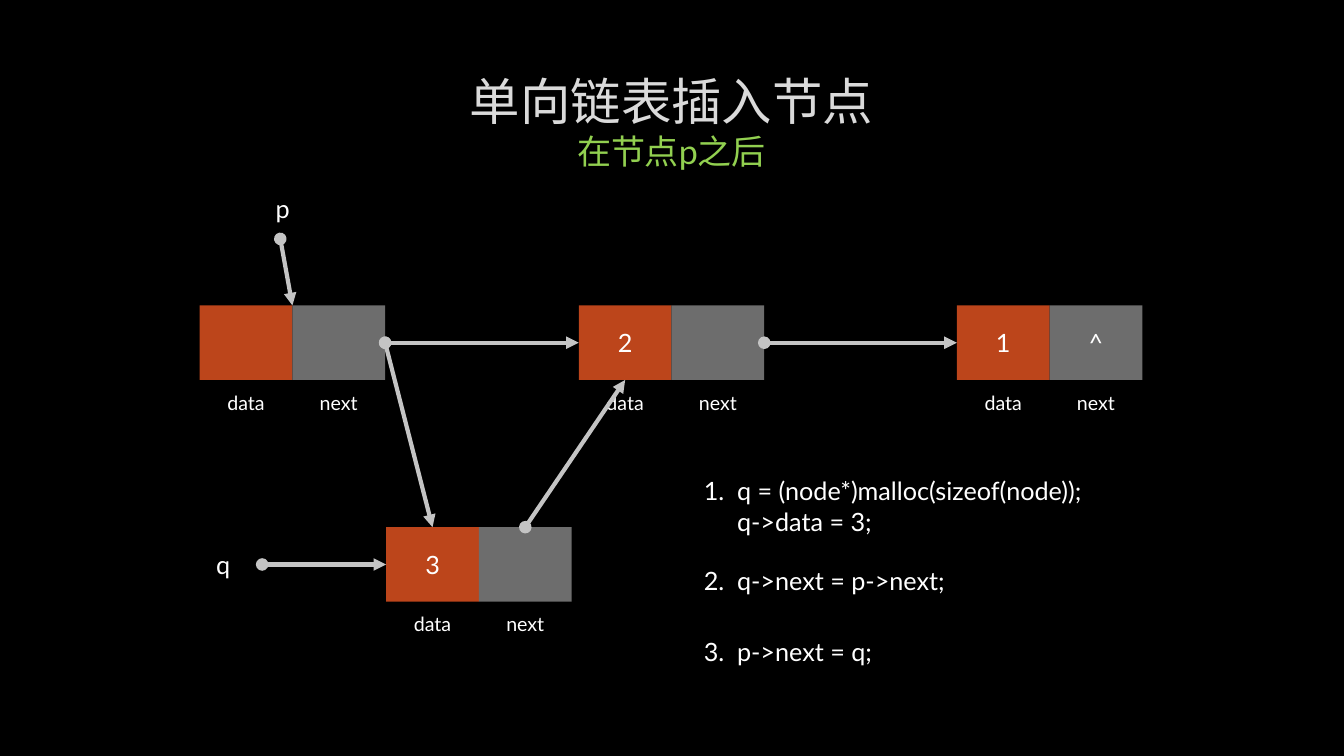
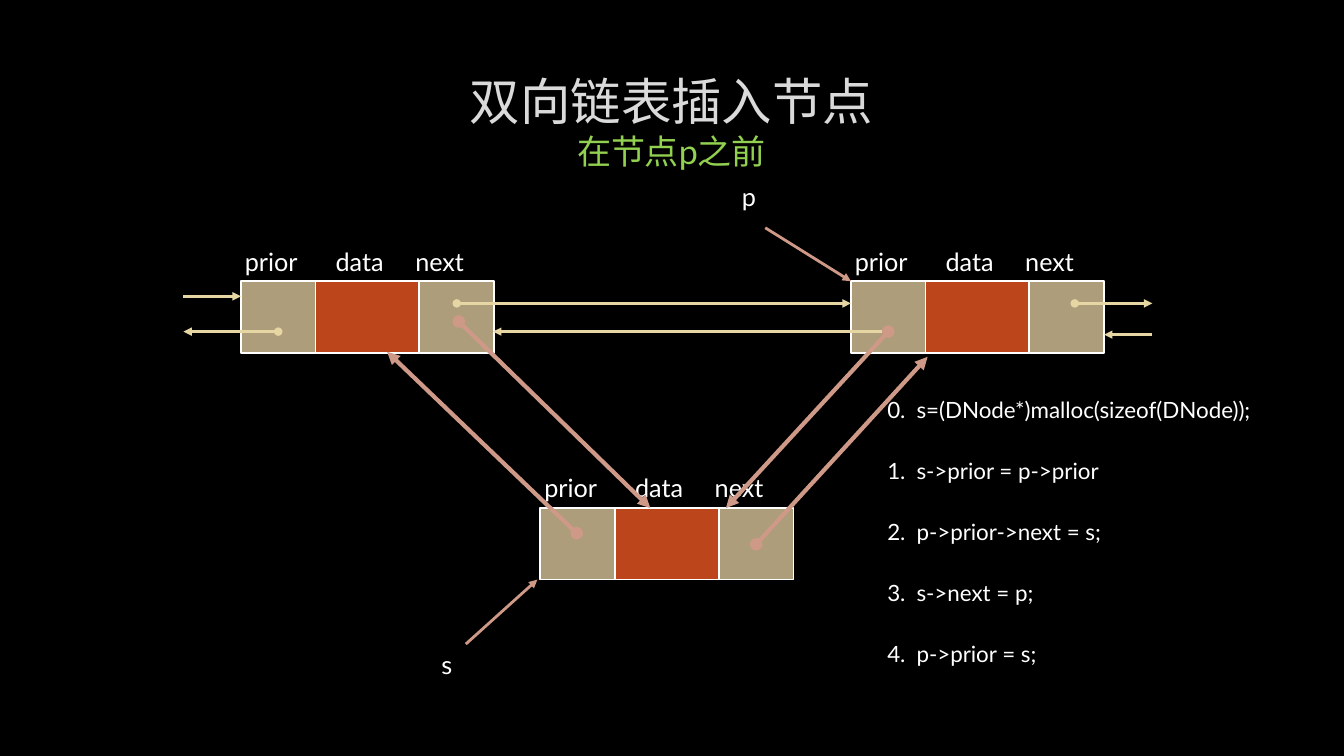
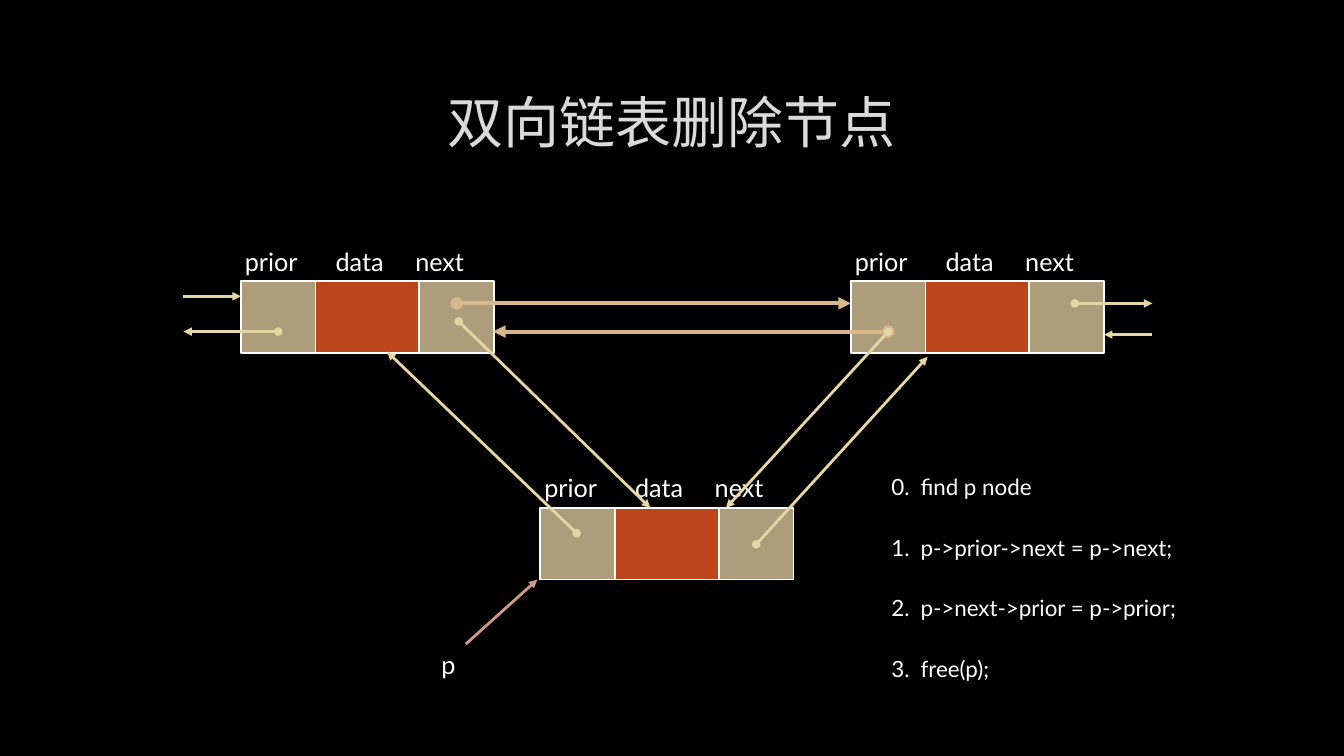
import lxml.etree
import pptx
import pptx.dml.color
import pptx.enum.shapes
import pptx.enum.text
import pptx.oxml.ns
import pptx.util

Inches = pptx.util.Inches
Pt = pptx.util.Pt
qn = pptx.oxml.ns.qn
ALIGN = pptx.enum.text.PP_ALIGN
ANCHOR = pptx.enum.text.MSO_ANCHOR


class Theme:
    font = "Lato"
    background = "000000"
    title = "DADADA"
    subtitle = "92D050"
    text = "FFFFFF"
    data = "BC451B"
    next_cell = "6D6D6D"
    link_cell = "AD9D7B"
    silver = "C4C4C4"
    sand = "E5D6A4"
    tan = "D7B78B"
    rose = "CF9988"
    title_size = 40
    title_size_with_subtitle = 36
    subtitle_size = 24.3
    body_size = 18
    small_step_size = 16
    caption_size = 14
    thin = 2
    thick = 3
    border = 1.25


TOP, LEFT, BOTTOM, RIGHT = range(4)

# Singly linked list: name -> left, top, data text, next text
SINGLE_CELL = (0.92, 0.74)
SINGLE_NODES = {
    "first": (1.98, 3.03, "", ""),
    "second": (5.74, 3.03, "2", ""),
    "last": (9.49, 3.03, "1", "^"),
    "new": (3.83, 5.23, "3", ""),
}
# (node, field, side) at each end
SINGLE_LINKS = [
    (("first", "next", RIGHT), ("second", "data", LEFT)),
    (("second", "next", RIGHT), ("last", "data", LEFT)),
    (("first", "next", RIGHT), ("new", "data", TOP)),
    (("new", "next", TOP), ("second", "data", BOTTOM)),
]

# Doubly linked list: cells are offset, width, colour
DOUBLE_CELLS = [
    (0, 0.74, Theme.link_cell),
    (1.77, 0.74, Theme.link_cell),
    (0.74, 1.03, Theme.data),
]
DOUBLE_HEIGHT = 0.71
DOUBLE_NODES = [(2.39, 2.79), (8.44, 2.79), (5.36, 5.04)]
FIELD_TABS = (0.9, 1.69)
# start, end, whether the start has a dot
OUTER_LINKS = [
    ((1.82, 2.94), (2.39, 2.94), False),
    ((2.76, 3.29), (1.82, 3.29), True),
    ((10.66, 3.01), (11.43, 3.01), True),
    ((11.43, 3.32), (10.95, 3.32), False),
]
NEIGHBOUR_LINKS = [
    ((8.81, 3.29), (4.89, 3.29), True),
    ((4.53, 3.01), (8.44, 3.01), True),
]
MIDDLE_NODE_LINKS = [
    ((5.72, 5.29), (3.84, 3.49), True),
    ((4.55, 3.19), (6.45, 5.04), True),
    ((7.5, 5.4), (9.2, 3.54), True),
    ((8.81, 3.29), (7.2, 5.04), True),
]

# Steps: text and space before it in points
SINGLE_STEPS = [
    ("q = (node*)malloc(sizeof(node));\vq->data = 3;", 0),
    ("q->next = p->next;", 21),
    ("p->next = q;", 29),
]
INSERT_STEPS = [
    ("s=(DNode*)malloc(sizeof(DNode));", 0),
    ("s->prior = p->prior", 24.3),
    ("p->prior->next = s;", 24.3),
    ("s->next = p;", 24.3),
    ("p->prior = s;", 24.3),
]
DELETE_STEPS = [
    ("find p node", 0),
    ("p->prior->next = p->next;", 24.3),
    ("p->next->prior = p->prior;", 24.3),
    ("free(p);", 24.3),
]


def rgb(value):
    return pptx.dml.color.RGBColor.from_string(value)


def set_font(font, size, color=Theme.text):
    font.name = Theme.font
    font.size = Pt(size)
    font.color.rgb = rgb(color)


def place(shape, left, top, width, height):
    shape.left, shape.top = Inches(left), Inches(top)
    shape.width, shape.height = Inches(width), Inches(height)


def add_slide(presentation, title, subtitle=""):
    slide = presentation.slides.add_slide(presentation.slide_layouts[1])
    shape = slide.shapes.title
    place(shape, 1, 0.67, 11.32, 1.06)
    frame = shape.text_frame
    frame.auto_size = pptx.enum.text.MSO_AUTO_SIZE.NONE
    frame.vertical_anchor = ANCHOR.MIDDLE
    paragraph = frame.paragraphs[0]
    paragraph.alignment = ALIGN.CENTER
    run = paragraph.add_run()
    run.text = title
    size = Theme.title_size_with_subtitle if subtitle else Theme.title_size
    set_font(run.font, size, Theme.title)
    if subtitle:
        paragraph.add_line_break()
        run = paragraph.add_run()
        run.text = subtitle
        set_font(run.font, Theme.subtitle_size, Theme.subtitle)
    return slide


def add_steps(slide, steps, box, size, first_number, indent):
    body = slide.placeholders[1]
    place(body, *box)
    frame = body.text_frame
    frame.auto_size = pptx.enum.text.MSO_AUTO_SIZE.NONE
    frame.vertical_anchor = ANCHOR.TOP
    for number, (text, gap) in enumerate(steps, first_number):
        is_first = number == first_number
        paragraph = frame.paragraphs[0] if is_first else frame.add_paragraph()
        paragraph.text = f"{number}.\t{text}"
        properties = paragraph._p.get_or_add_pPr()
        properties.set("marL", str(Inches(indent)))
        properties.set("indent", str(-Inches(indent)))
        lxml.etree.SubElement(properties, qn("a:buNone"))
        paragraph.space_before = Pt(gap)
        set_font(paragraph.font, size)


def add_label(slide, text, box, size=Theme.body_size, align=ALIGN.LEFT, tabs=()):
    shape = slide.shapes.add_textbox(*(Inches(value) for value in box))
    frame = shape.text_frame
    frame.word_wrap = True
    frame.vertical_anchor = ANCHOR.MIDDLE
    paragraph = frame.paragraphs[0]
    paragraph.text = text
    paragraph.alignment = align
    if tabs:
        properties = paragraph._p.get_or_add_pPr()
        tab_list = lxml.etree.SubElement(properties, qn("a:tabLst"))
        for position in tabs:
            tab = lxml.etree.SubElement(tab_list, qn("a:tab"))
            tab.set("pos", str(Inches(position)))
            tab.set("algn", "l")
    set_font(paragraph.font, size)


def add_cell(slide, box, color, text="", border=False):
    cell = slide.shapes.add_shape(
        pptx.enum.shapes.MSO_SHAPE.RECTANGLE, *(Inches(value) for value in box))
    cell.shadow.inherit = False
    cell.fill.solid()
    cell.fill.fore_color.rgb = rgb(color)
    if border:
        cell.line.color.rgb = rgb(Theme.text)
        cell.line.width = Pt(Theme.border)
    else:
        cell.line.fill.background()
    if text:
        cell.text_frame.vertical_anchor = ANCHOR.MIDDLE
        paragraph = cell.text_frame.paragraphs[0]
        paragraph.text = text
        paragraph.alignment = ALIGN.CENTER
        set_font(paragraph.font, Theme.body_size)
    return cell


def add_arrow(slide, start, end, color, width, dot=True):
    connector = slide.shapes.add_connector(
        pptx.enum.shapes.MSO_CONNECTOR.STRAIGHT,
        *(Inches(value) for value in (*start, *end)))
    connector.line.color.rgb = rgb(color)
    connector.line.width = Pt(width)
    line = connector.line._get_or_add_ln()
    if dot:
        lxml.etree.SubElement(line, qn("a:headEnd")).set("type", "oval")
    lxml.etree.SubElement(line, qn("a:tailEnd")).set("type", "triangle")
    lxml.etree.SubElement(connector._element.spPr, qn("a:effectLst"))
    return connector


def add_arrows(slide, links, color, width):
    for start, end, dot in links:
        add_arrow(slide, start, end, color, width, dot)


def add_single_list(slide):
    width, height = SINGLE_CELL
    cells = {}
    for name, (left, top, *texts) in SINGLE_NODES.items():
        fields = zip(("data", "next"), texts, (Theme.data, Theme.next_cell))
        for index, (field, text, color) in enumerate(fields):
            x = left + index * width
            cells[name, field] = add_cell(slide, (x, top, width, height), color, text)
            add_label(slide, field, (x, top + height, width, 0.44),
                      Theme.caption_size, ALIGN.CENTER)
    for (*source, source_side), (*target, target_side) in SINGLE_LINKS:
        arrow = add_arrow(slide, (0, 0), (1, 1), Theme.silver, Theme.thick)
        arrow.begin_connect(cells[tuple(source)], source_side)
        arrow.end_connect(cells[tuple(target)], target_side)
    add_label(slide, "p", (2.24, 1.85, 1.13, 0.44), align=ALIGN.CENTER)
    add_arrow(slide, (2.78, 2.37), (2.9, 3.03), Theme.silver, Theme.thick)
    add_label(slide, "q", (1.65, 5.38, 1.13, 0.44), align=ALIGN.CENTER)
    arrow = add_arrow(slide, (2.6, 5.6), (3.83, 5.6), Theme.silver, Theme.thick)
    arrow.end_connect(cells["new", "data"], LEFT)


def add_double_list(slide, pointer, neighbour_style, middle_style):
    """Draw three nodes; each style is a colour and a line width."""
    for left, top in DOUBLE_NODES:
        for offset, width, color in DOUBLE_CELLS:
            add_cell(slide, (left + offset, top, width, DOUBLE_HEIGHT), color,
                     border=True)
        add_label(slide, "prior\tdata\tnext", (left - 0.06, top - 0.4, 2.62, 0.4),
                  tabs=FIELD_TABS)
    add_arrows(slide, OUTER_LINKS, Theme.sand, Theme.thin)
    add_arrows(slide, NEIGHBOUR_LINKS, *neighbour_style)
    add_arrows(slide, MIDDLE_NODE_LINKS, *middle_style)
    add_arrow(slide, (4.62, 6.39), (5.33, 5.75), Theme.rose, Theme.thin, dot=False)
    add_label(slide, pointer, (4.28, 6.39, 0.62, 0.4))


def main():
    presentation = pptx.Presentation()
    presentation.slide_width = Inches(13.33)
    presentation.slide_height = Inches(7.5)
    background = presentation.slide_master.background.fill
    background.solid()
    background.fore_color.rgb = rgb(Theme.background)

    slide = add_slide(presentation, "单向链表插入节点", "在节点p之后")
    add_steps(slide, SINGLE_STEPS, (6.88, 4.67, 5.21, 1.99),
              Theme.body_size, 1, 0.33)
    add_single_list(slide)

    slide = add_slide(presentation, "双向链表插入节点", "在节点p之前")
    add_steps(slide, INSERT_STEPS, (8.7, 3.88, 4.34, 2.78),
              Theme.small_step_size, 0, 0.29)
    add_double_list(slide, "s", (Theme.sand, Theme.thin), (Theme.rose, Theme.thick))
    add_label(slide, "p", (7.26, 1.75, 0.67, 0.4))
    add_arrow(slide, (7.59, 2.26), (8.44, 2.79), Theme.rose, Theme.thin, dot=False)

    slide = add_slide(presentation, "双向链表删除节点")
    add_steps(slide, DELETE_STEPS, (8.74, 4.64, 4.34, 2.18),
              Theme.small_step_size, 0, 0.29)
    add_double_list(slide, "p", (Theme.tan, Theme.thick), (Theme.sand, Theme.thin))

    presentation.save("out.pptx")


if __name__ == "__main__":
    main()
